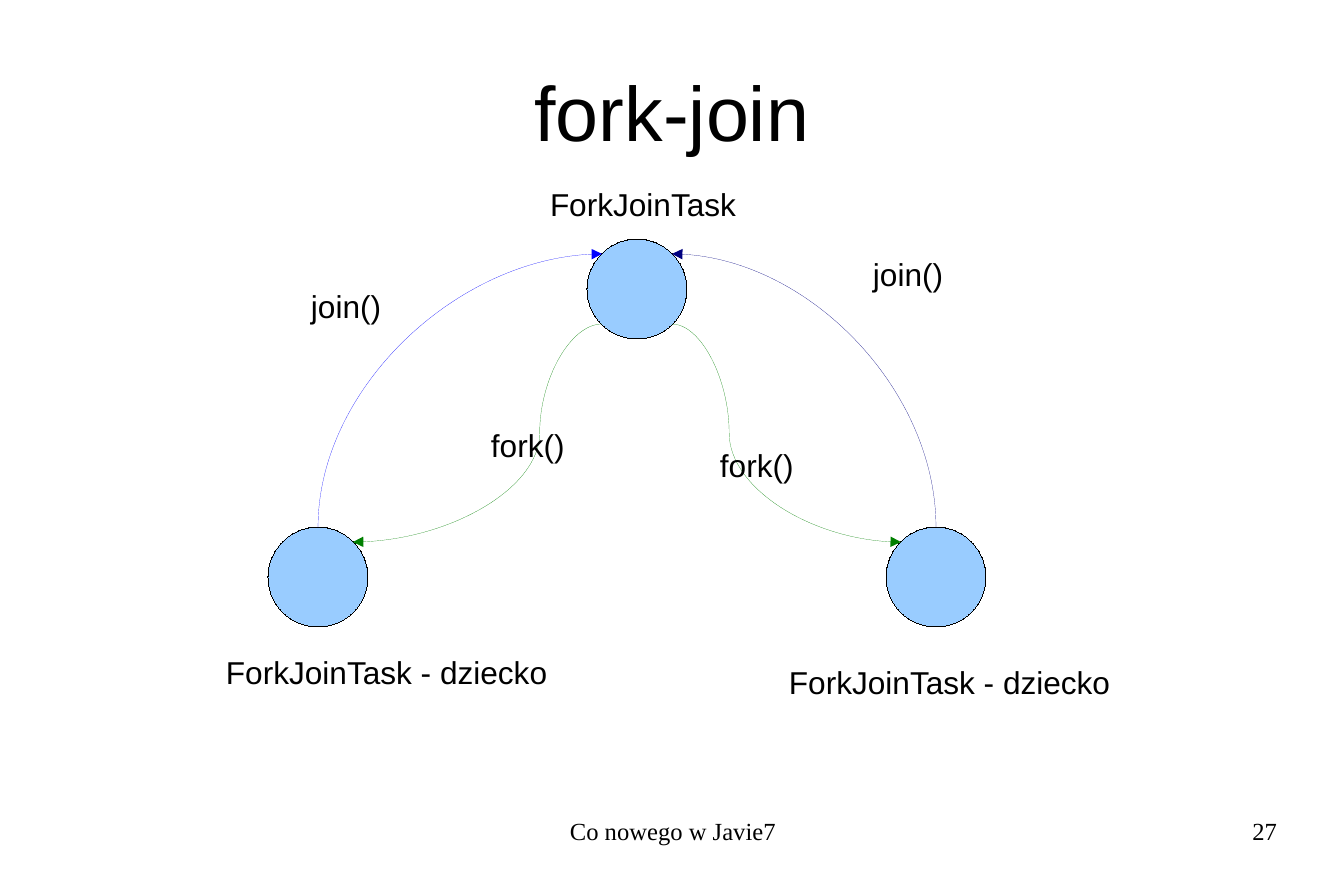
"""Build the fork-join slide with its task diagram and footer."""
from dataclasses import dataclass

from lxml import etree
from pptx import Presentation
from pptx.dml.color import RGBColor
from pptx.enum.shapes import MSO_CONNECTOR, MSO_SHAPE
from pptx.enum.text import MSO_ANCHOR, MSO_AUTO_SIZE, PP_ALIGN
from pptx.oxml.ns import qn
from pptx.util import Pt

EMU_PER_PX = 7234
TITLE_ONLY = 5
CURVE = MSO_CONNECTOR.CURVE
OVAL = MSO_SHAPE.OVAL
MIDDLE, TOP = MSO_ANCHOR.MIDDLE, MSO_ANCHOR.TOP
LEFT, CENTER, RIGHT = PP_ALIGN.LEFT, PP_ALIGN.CENTER, PP_ALIGN.RIGHT
FIT_SHAPE, NO_FIT = MSO_AUTO_SIZE.SHAPE_TO_FIT_TEXT, MSO_AUTO_SIZE.NONE

SLIDE_SIZE = (1344, 896)
TITLE_BOX = (67, 36, 1210, 149)
DIAGRAM_BOX = (214, 180, 912, 525)
FOOTER_BOX = (460, 816, 817, 62)
NODE_SIZE = 100
NODE_INSET = 15


@dataclass(frozen=True)
class Theme:
    """Colours, fonts and type sizes of the slide."""

    background: RGBColor = RGBColor(255, 255, 255)
    ink: RGBColor = RGBColor(0, 0, 0)
    node: RGBColor = RGBColor(0x99, 0xCC, 0xFF)
    fork: RGBColor = RGBColor(0, 0x80, 0)
    join_left: RGBColor = RGBColor(0, 0, 0xFF)
    join_right: RGBColor = RGBColor(0, 0, 0x80)
    body_font: str = "Arial"
    footer_font: str = "Times New Roman"
    title_size: int = 44
    label_size: int = 18
    footer_size: int = 14


THEME = Theme()


def px(length):
    """Turn a length in px into EMU."""
    return round(length * EMU_PER_PX)


def write(frame, wording, size, font, align, margins=(0, 0)):
    """Write one formatted run into a text frame with the given margins."""
    frame.margin_left = frame.margin_right = px(margins[0])
    frame.margin_top = frame.margin_bottom = px(margins[1])
    paragraph = frame.paragraphs[0]
    paragraph.alignment = align
    run = paragraph.add_run()
    run.text = wording
    run.font.size = Pt(size)
    run.font.name = font
    run.font.color.rgb = THEME.ink


def draw_hairline(part, color):
    """Give a node or curve a hairline and return its line element."""
    part.line.color.rgb = color
    hairline = part._element.spPr.find(qn("a:ln"))
    hairline.set("w", "0")
    return hairline


def add_title(slide, box, wording):
    """Place the title placeholder in its box."""
    title = slide.shapes.title
    title.left, title.top, title.width, title.height = map(px, box)
    frame = title.text_frame
    frame.auto_size = NO_FIT
    frame.vertical_anchor = MIDDLE
    write(frame, wording, THEME.title_size, THEME.body_font, CENTER)


def add_node(slide, left, top):
    """Draw one task circle."""
    node = slide.shapes.add_shape(OVAL, px(left), px(top), px(NODE_SIZE), px(NODE_SIZE))
    node.shadow.inherit = False
    node.fill.solid()
    node.fill.fore_color.rgb = THEME.node
    draw_hairline(node, THEME.ink)


def add_label(slide, left, top, width, wording):
    """Place a single-line label that fits its text."""
    label = slide.shapes.add_textbox(px(left), px(top), px(width), px(48))
    frame = label.text_frame
    frame.word_wrap = False
    frame.auto_size = FIT_SHAPE
    write(frame, wording, THEME.label_size, THEME.body_font, LEFT, (13, 6))


def add_curve(slide, start, end, color):
    """Draw a hairline curve with an arrowhead at its end."""
    curve = slide.shapes.add_connector(CURVE, *map(px, start + end))
    hairline = draw_hairline(curve, color)
    etree.SubElement(hairline, qn("a:tailEnd"), type="triangle")
    etree.SubElement(curve._element.spPr, qn("a:effectLst"))
    return curve


def add_fork(slide, start, end):
    """Draw an S-curve that bends a quarter of the way across."""
    fork = add_curve(slide, start, end, THEME.fork)
    geometry = fork._element.spPr.find(qn("a:prstGeom"))
    adjustments = geometry.find(qn("a:avLst"))
    etree.SubElement(adjustments, qn("a:gd"), name="adj1", fmla="val 25000")


def add_join(slide, start, end, color):
    """Draw a quarter curve that leaves upward and arrives sideways."""
    join = add_curve(slide, start, end, color)
    across, rise = join.width, join.height
    join.left += (across - rise) // 2
    join.top += (rise - across) // 2
    join.width, join.height = rise, across
    properties = join._element.spPr
    properties.find(qn("a:prstGeom")).set("prst", "curvedConnector2")
    rightward = end[0] > start[0]
    transform = properties.find(qn("a:xfrm"))
    transform.set("rot", str((90 if rightward else 270) * 60000))
    transform.set("flipH", "1" if rightward else "0")
    transform.set("flipV", "1")


def add_diagram(slide, box):
    """Draw the parent task, its two children and the calls between them."""
    x, y = box[:2]
    parent = (x + 373, y + 59)
    left_child = (x + 54, y + 347)
    right_child = (x + 672, y + 347)
    for corner in (parent, left_child, right_child):
        add_node(slide, *corner)

    near, far, middle = NODE_INSET, NODE_SIZE - NODE_INSET, NODE_SIZE // 2
    branches = (
        (left_child, near, far, THEME.join_left),
        (right_child, far, near, THEME.join_right),
    )
    for child, parent_side, child_side, join_color in branches:
        add_fork(slide, (parent[0] + parent_side, parent[1] + far),
                 (child[0] + child_side, child[1] + near))
        add_join(slide, (child[0] + middle, child[1]),
                 (parent[0] + parent_side, parent[1] + near), join_color)

    labels = (
        (323, -1, 218, "ForkJoinTask"),
        (-1, 467, 353, "ForkJoinTask - dziecko"),
        (562, 477, 353, "ForkJoinTask - dziecko"),
        (264, 240, 102, "fork()"),
        (493, 260, 102, "fork()"),
        (84, 101, 99, "join()"),
        (646, 69, 99, "join()"),
    )
    for left, top, width, wording in labels:
        add_label(slide, x + left, y + top, width, wording)


def add_footer(slide, box, deck_name, page):
    """Place the deck name and the page number along the footer."""
    x, y, width, height = box
    parts = ((x, 426, deck_name, CENTER), (x + width - 314, 314, page, RIGHT))
    for left, part_width, wording, align in parts:
        part = slide.shapes.add_textbox(px(left), px(y), px(part_width), px(height))
        frame = part.text_frame
        frame.word_wrap = True
        frame.vertical_anchor = TOP
        write(frame, wording, THEME.footer_size, THEME.footer_font, align)


def main():
    """Build and save the slide."""
    deck = Presentation()
    deck.slide_width, deck.slide_height = map(px, SLIDE_SIZE)
    slide = deck.slides.add_slide(deck.slide_layouts[TITLE_ONLY])
    slide.background.fill.solid()
    slide.background.fill.fore_color.rgb = THEME.background
    add_title(slide, TITLE_BOX, "fork-join")
    add_diagram(slide, DIAGRAM_BOX)
    add_footer(slide, FOOTER_BOX, "Co nowego w Javie7", "27")
    deck.save("out.pptx")


if __name__ == "__main__":
    main()
